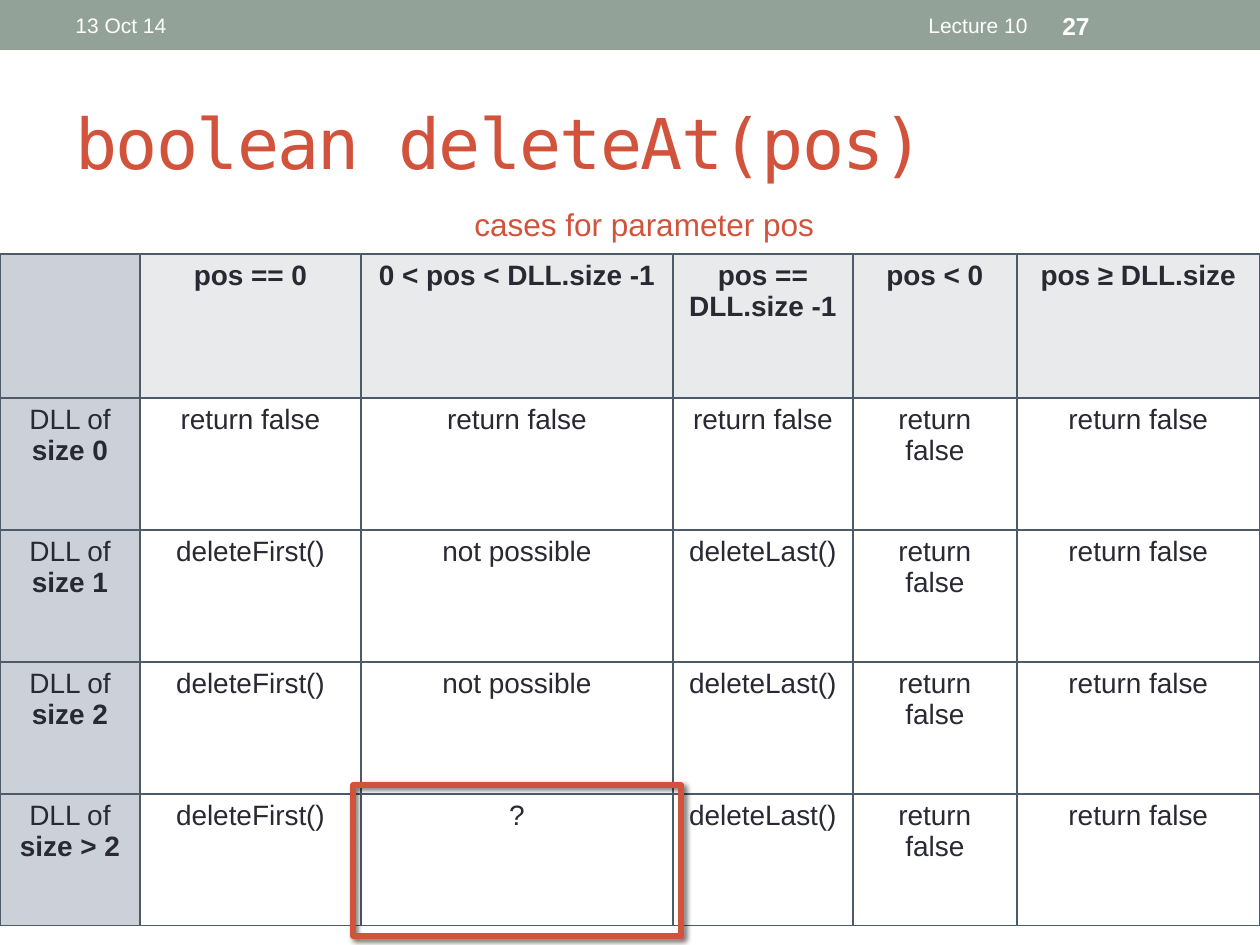
from dataclasses import dataclass
from typing import NamedTuple

from lxml.etree import SubElement
from pptx import Presentation
from pptx.dml.color import RGBColor
from pptx.enum.shapes import MSO_SHAPE as Shape
from pptx.enum.text import MSO_ANCHOR as Anchor, MSO_AUTO_SIZE as AutoSize, PP_ALIGN as Align
from pptx.oxml import parse_xml
from pptx.oxml.ns import nsdecls, qn
from pptx.util import Emu, Pt

PIXEL = 914400 // 126
COLORS = {
    "bar": "93A299", "accent": "D2533C", "white": "FFFFFF", "ink": "292934",
    "label": "CCD1D9", "header": "E9EAEB", "border": "4C5A6A", "shadow": "000000",
}


class Box(NamedTuple):
    """Place of an object in pixels."""
    left: int
    top: int
    width: int
    height: int

    def emu(self) -> list[Emu]:
        """Return the place in EMU."""
        return [Emu(value * PIXEL) for value in self]


class Span(NamedTuple):
    """Piece of text with one weight."""
    text: str
    bold: bool = False


@dataclass
class Label:
    """Single line of text outside the table."""
    text: str
    box: Box
    size: int
    color: str = "white"
    bold: bool = False
    align: Align = Align.LEFT
    anchor: Anchor = Anchor.MIDDLE
    wrap: bool = True


LABELS = [
    Label("13 Oct 14", Box(63, 3, 399, 45), 12),
    Label("Lecture 10", Box(473, 3, 567, 45), 12, align=Align.RIGHT),
    Label("27", Box(1050, 3, 147, 45), 14, bold=True),
    Label("cases for parameter pos", Box(462, 199, 377, 50), 18, "accent",
          anchor=Anchor.TOP, wrap=False),
]
COLUMN_WIDTHS = [140, 221, 312, 180, 164, 243]
ROW_HEIGHTS = [144] + [132] * 4
HEADERS = ["", "pos == 0", "0 < pos < DLL.size -1", "pos ==\nDLL.size -1",
           "pos < 0", "pos ≥ DLL.size"]
NO = "return false"
CASES = {
    "size 0": [NO, NO, NO],
    "size 1": ["deleteFirst()", "not possible", "deleteLast()"],
    "size 2": ["deleteFirst()", "not possible", "deleteLast()"],
    "size > 2": ["deleteFirst()", "?", "deleteLast()"],
}


def rgb(name: str) -> RGBColor:
    """Look up a named colour."""
    return RGBColor.from_string(COLORS[name])


def add_span(para, span: Span, size: int, color: str, font: str = "Arial"):
    """Append a formatted run to a paragraph."""
    run = para.add_run()
    run.text = span.text
    formats = {"size": Pt(size), "name": font, "bold": span.bold}
    for name, value in formats.items():
        setattr(run.font, name, value)
    run.font.color.rgb = rgb(color)
    return run


def add_label(slide, label: Label) -> None:
    """Draw a text box."""
    frame = slide.shapes.add_textbox(*label.box.emu()).text_frame
    formats = {"word_wrap": label.wrap, "vertical_anchor": label.anchor}
    for name, value in formats.items():
        setattr(frame, name, value)
    para = frame.paragraphs[0]
    para.alignment = label.align
    add_span(para, Span(label.text, label.bold), label.size, label.color)


def set_title(slide) -> None:
    """Place and fill the title."""
    title = slide.shapes.title
    places = zip(("left", "top", "width", "height"), Box(63, 73, 1134, 136).emu())
    for name, value in places:
        setattr(title, name, value)
    frame = title.text_frame
    frame.auto_size = AutoSize.NONE
    frame.vertical_anchor = Anchor.MIDDLE
    para = frame.paragraphs[0]
    para.alignment = Align.LEFT
    run = add_span(para, Span("boolean deleteAt(pos)"), 40, "accent", "DejaVu Sans Mono")
    run.font._element.set("spc", "-100")


def add_rectangle(slide, box: Box):
    """Draw a rectangle without shadow."""
    shape = slide.shapes.add_shape(Shape.RECTANGLE, *box.emu())
    shape.shadow.inherit = False
    return shape


def add_bar(slide) -> None:
    """Draw the band at the top."""
    bar = add_rectangle(slide, Box(0, 0, 1260, 50))
    bar.fill.solid()
    bar.fill.fore_color.rgb = rgb("bar")
    bar.line.fill.background()


def add_highlight(slide) -> None:
    """Draw the shadowed frame around the open case."""
    frame = add_rectangle(slide, Box(353, 785, 328, 151))
    frame.fill.background()
    frame.line.color.rgb = rgb("accent")
    frame.line.width = Pt(3)
    effects = frame._element.spPr.find(qn("a:effectLst"))
    shadow = SubElement(effects, qn("a:outerShdw"), blurRad=str(Pt(3)), dist=str(Pt(2)),
                        dir=str(45 * 60000), algn="tl", rotWithShape="0")
    color = SubElement(shadow, qn("a:srgbClr"), val=COLORS["shadow"])
    SubElement(color, qn("a:alpha"), val="60000")


def fill_cell(cell, paragraphs: list[list[Span]], fill: str) -> None:
    """Write, colour and border a table cell."""
    cell.fill.solid()
    cell.fill.fore_color.rgb = rgb(fill)
    properties = cell._tc.get_or_add_tcPr()
    for index, side in enumerate("LRTB"):
        properties.insert(index, parse_xml(
            f'<a:ln{side} {nsdecls("a")} w="{Pt(1)}"><a:solidFill>'
            f'<a:srgbClr val="{COLORS["border"]}"/></a:solidFill></a:ln{side}>'))
    frame = cell.text_frame
    for index, spans in enumerate(paragraphs):
        para = frame.add_paragraph() if index else frame.paragraphs[0]
        para.alignment = Align.CENTER
        for span in spans:
            add_span(para, span, 16, "ink")


def add_case_table(slide) -> None:
    """Draw the table of cases."""
    box = Box(0, 254, sum(COLUMN_WIDTHS), sum(ROW_HEIGHTS))
    table = slide.shapes.add_table(len(ROW_HEIGHTS), len(COLUMN_WIDTHS), *box.emu()).table
    table.first_row = table.horz_banding = False
    for column, width in zip(table.columns, COLUMN_WIDTHS):
        column.width = Emu(width * PIXEL)
    for row, height in zip(table.rows, ROW_HEIGHTS):
        row.height = Emu(height * PIXEL)
    for index, header in enumerate(HEADERS):
        lines = [[Span(line, True)] for line in header.split("\n") if line]
        fill_cell(table.cell(0, index), lines, "header" if index else "label")
    for row, (size, results) in enumerate(CASES.items(), 1):
        fill_cell(table.cell(row, 0), [[Span("DLL of "), Span(size, True)]]
                  if size != "size > 2" else [[Span("DLL of")], [Span(size, True)]], "label")
        for column, result in enumerate(results + [NO, NO], 1):
            fill_cell(table.cell(row, column), [[Span(result)]], "white")


def main() -> None:
    """Build and save the slide."""
    deck = Presentation()
    deck.slide_width, deck.slide_height = Emu(9144000), Emu(6858000)
    slide = deck.slides.add_slide(deck.slide_layouts[5])
    add_bar(slide)
    set_title(slide)
    add_case_table(slide)
    for label in LABELS:
        add_label(slide, label)
    add_highlight(slide)
    deck.save("out.pptx")


main()
